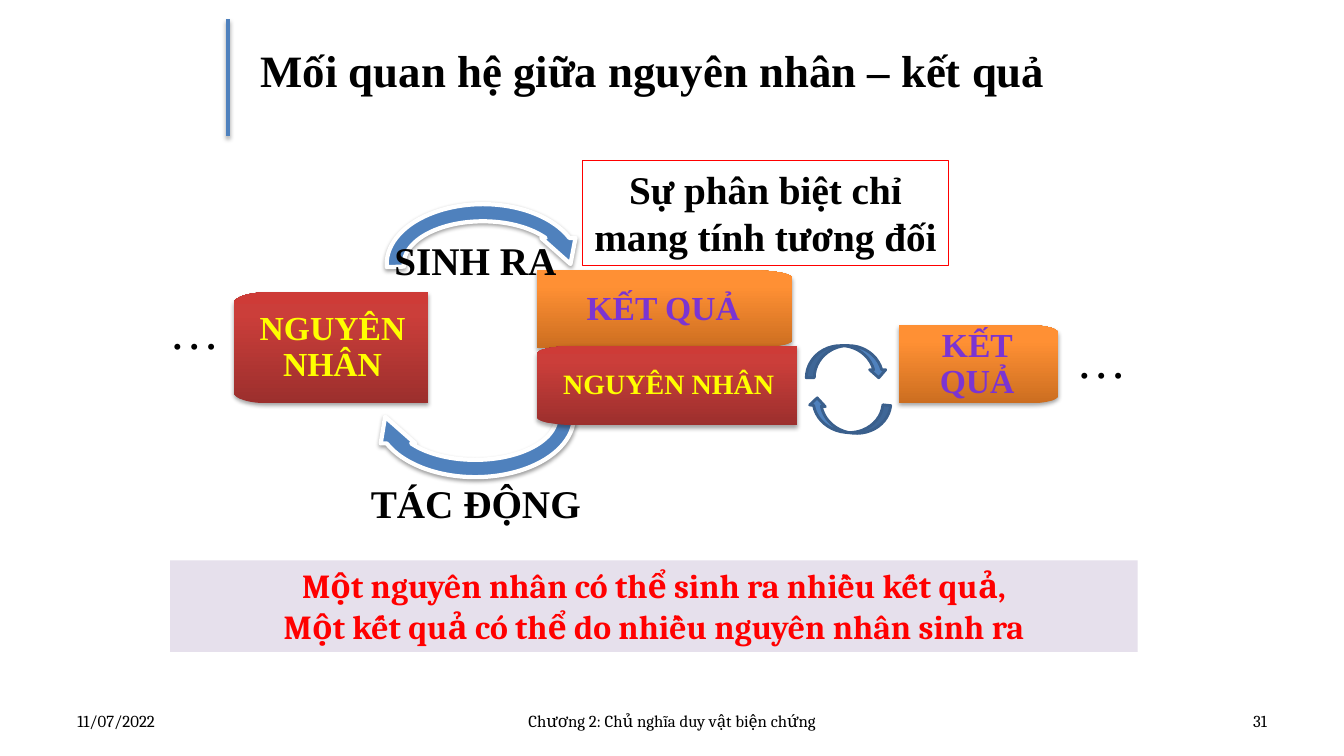
import math

import lxml.etree
import pptx
import pptx.dml.color
import pptx.enum.shapes
import pptx.enum.text
import pptx.oxml.ns
import pptx.util

Cm, Pt = pptx.util.Cm, pptx.util.Pt
qn = pptx.oxml.ns.qn
SHAPES = pptx.enum.shapes.MSO_SHAPE
ANCHOR = pptx.enum.text.MSO_ANCHOR
ALIGN = pptx.enum.text.PP_ALIGN
SIZING = pptx.enum.text.MSO_AUTO_SIZE

COLORS = {
    "black": "000000", "white": "FFFFFF", "red": "FF0000", "yellow": "FFFF00",
    "blue": "4F81BD", "navy": "3A5F8C", "lavender": "E6E0EC", "violet": "5E457C",
}
GRADIENTS = {
    "cause": [(0, "9C2F2D"), (80, "CB3E3A"), (100, "CE3B37")],
    "effect": [(0, "CC6E20"), (80, "FF9034"), (100, "FF9136")],
    "purple": [(0, "3D1B67"), (43, "7B34D2"), (48, "7330C4"), (100, "3D1B67")],
}
SERIF, FOOTER_FONT = "Times New Roman", "Cambria"

# Boxes are left, top, width, height in centimetres.
BLOCKS = [
    ("NGUYÊN NHÂN", "cause", 24, (5.89, 7.37, 4.9, 2.79)),
    ("KẾT QUẢ", "effect", 24, (13.54, 6.81, 6.43, 1.96)),
    ("NGUYÊN NHÂN", "cause", 20, (13.54, 8.71, 6.55, 2.01)),
    ("KẾT QUẢ", "effect", 24, (22.66, 8.2, 4.01, 1.96)),
]
CIRCULAR_ARROWS = [((9.53, 4.93, 5.28, 3.45), 0), ((9.27, 8.76, 5.41, 3.48), 180)]
CIRCULAR_ADJUSTMENTS = (0.125, 11.423, 204.577, 106.895, 0.125)
CURVED_ARROWS = [((20.32, 8.71, 2.03, 0.81), 0), ((20.35, 10.11, 2.06, 0.79), 186)]
TITLE_RULE = (5.74, 0.48, 5.74, 3.43)

TEXTS = [
    ("…", (4.01, 7.42, 1.8, 1.8), dict(size=36, bold=False, align=ALIGN.LEFT, wrap=False)),
    ("…", (26.87, 8.15, 1.8, 1.8), dict(size=36, bold=False, align=ALIGN.LEFT, wrap=False)),
    ("Sự phân biệt chỉ mang tính tương đối", (14.68, 4.04, 9.22, 2.64), dict(line="red")),
    ("SINH RA", (9.02, 5.82, 5.92, 1.45), {}),
    ("TÁC ĐỘNG", (8.69, 11.96, 6.6, 1.45), {}),
    ("Mối quan hệ giữa nguyên nhân – kết quả", (6.32, 0.94, 22.68, 1.63),
     dict(size=32, align=ALIGN.LEFT, fill="white", line="white")),
    ("Một nguyên nhân có thể sinh ra nhiều kết quả,\n"
     "Một kết quả có thể do nhiều nguyên nhân sinh ra", (4.29, 14.12, 24.38, 2.31),
     dict(size=24, font=FOOTER_FONT, color="red", fill="lavender")),
]
FOOTERS = [
    ("11/07/2022", (1.7, 17.65, 7.9, 1.02), ALIGN.LEFT),
    ("Chương 2: Chủ nghĩa duy vật biện chứng", (11.58, 17.65, 10.72, 1.02), ALIGN.CENTER),
    ("31", (24.28, 17.65, 7.9, 1.02), ALIGN.RIGHT),
]


def rgb(name):
    return pptx.dml.color.RGBColor.from_string(COLORS[name])


def lengths(box):
    return [Cm(value) for value in box]


def add_child(parent, tag, **attributes):
    child = lxml.etree.SubElement(parent, qn(tag))
    for name, value in attributes.items():
        child.set(name, str(value))
    return child


def set_gradient(fill, properties, name, clockwise_angle):
    """Fill with named stops; properties is the XML element that holds the fill."""
    fill.gradient()
    gradient = properties.find(qn("a:gradFill"))
    for child in list(gradient):
        gradient.remove(child)
    stops = add_child(gradient, "a:gsLst")
    for position, color in GRADIENTS[name]:
        stop = add_child(stops, "a:gs", pos=position * 1000)
        add_child(stop, "a:srgbClr", val=color)
    add_child(gradient, "a:lin", ang=clockwise_angle * 60000, scaled=0)


def set_shadow(shape, opacity=35, distance=1.8):
    properties = shape._element.spPr
    effects = properties.find(qn("a:effectLst"))
    if effects is None:
        effects = add_child(properties, "a:effectLst")
    shadow = add_child(effects, "a:outerShdw", blurRad=Pt(3.1), dist=Pt(distance),
                       dir=90 * 60000, rotWithShape=0)
    color = add_child(shadow, "a:srgbClr", val=COLORS["black"])
    add_child(color, "a:alpha", val=opacity * 1000)


def format_text(frame, size, font, color, bold, align):
    for paragraph in frame.paragraphs:
        paragraph.alignment = align
        for run in paragraph.runs:
            run.font.size, run.font.name, run.font.bold = Pt(size), font, bold
            run.font.color.rgb = rgb(color)


def outline_text(run, color):
    properties = run._r.get_or_add_rPr()
    line = add_child(properties, "a:ln", w=Pt(0.71))
    add_child(add_child(line, "a:solidFill"), "a:srgbClr", val=COLORS[color])
    properties.insert(0, line)


def add_block(slide, text, kind, size, box):
    """Add a block rounded on its left side for a cause, on its right for an effect."""
    left, top, width, height = lengths(box)
    radius_x, radius_y = width / 6, height / 10
    is_cause = kind == "cause"
    flat_x, round_x, inward = (left + width, left, 1) if is_cause else (left, left + width, -1)
    steps = 10
    angles = [math.pi / 2 * step / steps for step in range(steps + 1)]
    corner = [(round_x + inward * radius_x * (1 - math.sin(angle)),
               radius_y * (1 - math.cos(angle))) for angle in angles]
    upper = [(x, top + y) for x, y in corner]
    lower = [(x, top + height - y) for x, y in reversed(corner)]
    builder = slide.shapes.build_freeform(flat_x, top)
    builder.add_line_segments(upper + lower + [(flat_x, top + height)])
    shape = builder.convert_to_shape()
    set_gradient(shape.fill, shape._element.spPr, kind, 270)
    shape.line.fill.background()
    shape.shadow.inherit = False
    set_shadow(shape)

    frame = shape.text_frame
    frame.text = text
    frame.word_wrap = True
    frame.vertical_anchor = ANCHOR.MIDDLE
    frame.margin_top = frame.margin_bottom = Cm(0.69)
    frame.margin_left, frame.margin_right = lengths((0.51, 0.43) if is_cause else (0.43, 0.51))
    format_text(frame, size, SERIF, "yellow", True, ALIGN.CENTER)
    frame.paragraphs[0].line_spacing = 0.9
    run = frame.paragraphs[0].runs[0]
    if not is_cause:
        set_gradient(run.font.fill, run._r.rPr, "purple", 90)
    outline_text(run, "yellow" if is_cause else "violet")


def add_arrow(slide, preset, box, rotation, line_color, line_width):
    arrow = slide.shapes.add_shape(preset, *lengths(box))
    arrow.rotation = rotation
    arrow.fill.solid()
    arrow.fill.fore_color.rgb = rgb("blue")
    arrow.line.color.rgb = rgb(line_color)
    arrow.line.width = Pt(line_width)
    arrow.shadow.inherit = False
    return arrow


def add_text(slide, text, box, size=28, font=SERIF, color="black", bold=True,
             align=ALIGN.CENTER, wrap=True, fill=None, line=None,
             anchor=ANCHOR.TOP, sizing=SIZING.SHAPE_TO_FIT_TEXT):
    shape = slide.shapes.add_textbox(*lengths(box))
    if fill:
        shape.fill.solid()
        shape.fill.fore_color.rgb = rgb(fill)
    if line:
        shape.line.color.rgb = rgb(line)
        shape.line.width = Pt(0.75)
    frame = shape.text_frame
    frame.text = text
    frame.word_wrap = wrap
    frame.auto_size = sizing
    frame.vertical_anchor = anchor
    format_text(frame, size, font, color, bold, align)


def main():
    presentation = pptx.Presentation()
    presentation.slide_width, presentation.slide_height = lengths((33.87, 19.05))
    slide = presentation.slides.add_slide(presentation.slide_layouts[6])

    for box, rotation in CIRCULAR_ARROWS:
        arrow = add_arrow(slide, SHAPES.CIRCULAR_ARROW, box, rotation, "white", 3)
        for index, value in enumerate(CIRCULAR_ADJUSTMENTS):
            arrow.adjustments[index] = value
        set_shadow(arrow, opacity=38, distance=1.6)
    for block in BLOCKS:
        add_block(slide, *block)
    for box, rotation in CURVED_ARROWS:
        add_arrow(slide, SHAPES.CURVED_DOWN_ARROW, box, rotation, "navy", 2)
    for text, box, options in TEXTS:
        add_text(slide, text, box, **options)

    rule = slide.shapes.add_connector(
        pptx.enum.shapes.MSO_CONNECTOR.STRAIGHT, *lengths(TITLE_RULE))
    rule.line.color.rgb = rgb("blue")
    rule.line.width = Pt(3)
    set_shadow(rule)
    for text, box, align in FOOTERS:
        add_text(slide, text, box, size=12, font=FOOTER_FONT, bold=False, align=align,
                 anchor=ANCHOR.MIDDLE, sizing=SIZING.NONE)
    presentation.save("out.pptx")


if __name__ == "__main__":
    main()
